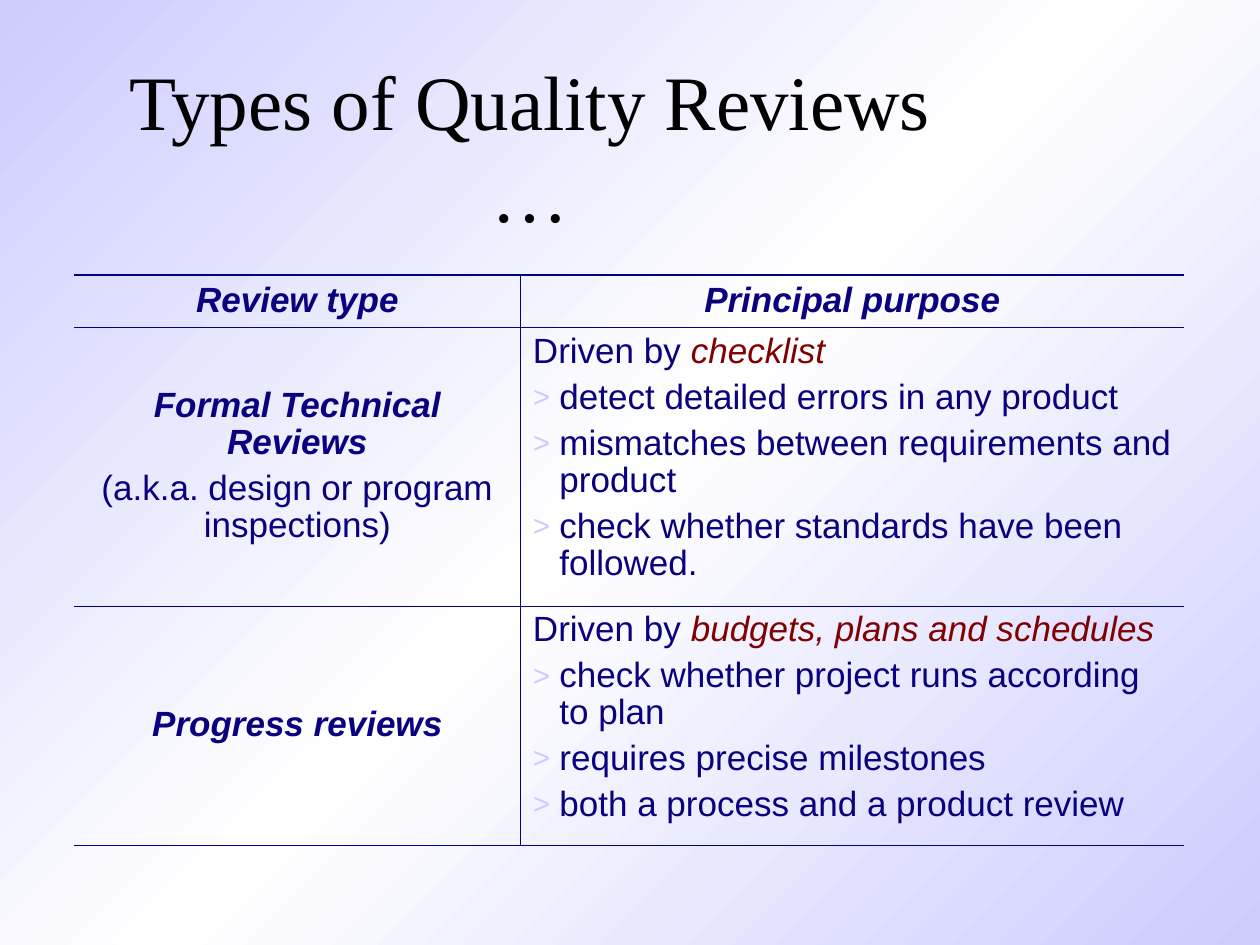
from copy import deepcopy
from dataclasses import dataclass

from lxml.etree import SubElement
from pptx import Presentation
from pptx.dml.color import RGBColor as RGB
from pptx.enum.text import MSO_ANCHOR as Anchor, MSO_AUTO_SIZE as AutoSize, PP_ALIGN as Align
from pptx.oxml.ns import qn
from pptx.util import Inches, Pt


@dataclass(frozen=True)
class Theme:
    title_font: str = "Times New Roman"
    body_font: str = "Arial"
    title_size: float = 44
    body_size: float = 20
    title_color: str = "000000"
    text_color: str = "0A017F"
    accent_color: str = "7F0101"
    tint: str = "CCCCFF"
    middle_tint: str = "FFFFFF"
    border_color: str = "00027F"
    thin_line: float = 0.45
    thick_line: float = 1.08


REVIEWS = [
    ("Formal Technical Reviews", "(a.k.a. design or program inspections)", "checklist",
     ["detect detailed errors in any product",
      "mismatches between requirements and product",
      "check whether standards have been followed."]),
    ("Progress reviews", None, "budgets, plans and schedules",
     ["check whether project runs according to plan",
      "requires precise milestones",
      "both a process and a product review"]),
]
COLUMN_WIDTHS = (3.54, 5.27)
ROW_HEIGHTS = (0.42, 2.21, 1.9)


class SlideBuilder:
    def __init__(self, slide, theme):
        self.slide = slide
        self.theme = theme

    def background(self):
        """Diagonal gradient, tinted at both corners and white between them."""
        fill = self.slide.background.fill
        fill.gradient()
        fill.gradient_angle = 315
        stop_list = self.slide.element.find(".//" + qn("a:gsLst"))
        stop_list.append(deepcopy(stop_list[-1]))
        tints = (self.theme.tint, self.theme.middle_tint, self.theme.tint)
        for stop, color, position in zip(fill.gradient_stops, tints, (0, 0.5, 1)):
            stop.color.rgb = RGB.from_string(color)
            stop.position = position

    def run(self, paragraph, text, color, size, font_name, bold=False, italic=False):
        run = paragraph.add_run()
        run.text = text
        font = run.font
        font.name, font.size = font_name, Pt(size)
        font.bold, font.italic = bold, italic
        font.color.rgb = RGB.from_string(color)

    def title(self, text, left, top, width, height):
        theme = self.theme
        shape = self.slide.shapes.title
        shape.left, shape.top = Inches(left), Inches(top)
        shape.width, shape.height = Inches(width), Inches(height)
        frame = shape.text_frame
        frame.word_wrap = True
        frame.auto_size = AutoSize.NONE
        frame.vertical_anchor = Anchor.MIDDLE
        paragraph = frame.paragraphs[0]
        paragraph.alignment = Align.CENTER
        self.run(paragraph, text, theme.title_color, theme.title_size, theme.title_font)

    def table(self, left, top, column_widths, row_heights):
        table = self.slide.shapes.add_table(
            len(row_heights), len(column_widths), Inches(left), Inches(top),
            Inches(sum(column_widths)), Inches(sum(row_heights))).table
        table.first_row = table.horz_banding = False
        for column, width in zip(table.columns, column_widths):
            column.width = Inches(width)
        for row, height in zip(table.rows, row_heights):
            row.height = Inches(height)
        last_row, last_column = len(row_heights) - 1, len(column_widths) - 1
        thin, thick = self.theme.thin_line, self.theme.thick_line
        for row_index, row in enumerate(table.rows):
            for column_index, cell in enumerate(row.cells):
                self.border(cell, "L", thin if column_index > 0 else None)
                self.border(cell, "R", thin if column_index < last_column else None)
                self.border(cell, "T", thick if row_index == 0 else thin)
                self.border(cell, "B", thick if row_index == last_row else thin)
                cell.fill.background()
                cell.margin_left = cell.margin_right = Inches(0.1)
                cell.margin_top = cell.margin_bottom = Inches(0.05)
        return table

    def border(self, cell, side, width):
        """Set one cell edge; a width of None hides it."""
        line = SubElement(cell._tc.get_or_add_tcPr(), qn(f"a:ln{side}"))
        if width is None:
            SubElement(line, qn("a:noFill"))
            return
        line.set("w", str(Pt(width)))
        fill = SubElement(line, qn("a:solidFill"))
        SubElement(fill, qn("a:srgbClr"), val=self.theme.border_color)

    def paragraph(self, cell, runs, centered=False, bullet=False):
        """Add a paragraph of (text, color, bold, italic) runs to a cell."""
        frame = cell.text_frame
        is_first = not frame.paragraphs[0].runs
        paragraph = frame.paragraphs[0] if is_first else frame.add_paragraph()
        paragraph.line_spacing = 0.95
        paragraph.space_before = Pt(0 if is_first else 5)
        if centered:
            paragraph.alignment = Align.CENTER
            cell.vertical_anchor = Anchor.MIDDLE
        else:
            properties = paragraph._p.get_or_add_pPr()
            properties.set("marL", str(Inches(0.21)))
            properties.set("indent", str(Inches(-0.21)))
            if bullet:
                color = SubElement(properties, qn("a:buClr"))
                SubElement(color, qn("a:srgbClr"), val=self.theme.tint)
                SubElement(properties, qn("a:buSzPct"), val="85000")
                SubElement(properties, qn("a:buFont"), typeface=self.theme.body_font)
                SubElement(properties, qn("a:buChar"), char=">")
            else:
                SubElement(properties, qn("a:buNone"))
        for text, color, bold, italic in runs:
            self.run(paragraph, text, color, self.theme.body_size,
                     self.theme.body_font, bold, italic)

    def heading(self, cell, text):
        self.paragraph(cell, [(text, self.theme.text_color, True, True)], centered=True)

    def review(self, cells, name, alias, driver, purposes):
        name_cell, purpose_cell = cells
        color = self.theme.text_color
        self.heading(name_cell, name)
        if alias:
            self.paragraph(name_cell, [(alias, color, False, False)], centered=True)
        self.paragraph(purpose_cell, [("Driven by ", color, False, False),
                                      (driver, self.theme.accent_color, False, True)])
        for purpose in purposes:
            self.paragraph(purpose_cell, [(purpose, color, False, False)], bullet=True)


def main():
    presentation = Presentation()
    presentation.slide_width, presentation.slide_height = Inches(10), Inches(7.5)
    slide = presentation.slides.add_slide(presentation.slide_layouts[5])
    builder = SlideBuilder(slide, Theme())
    builder.background()
    builder.title("Types of Quality Reviews …", 0.59, 0.71, 7.24, 0.89)
    table = builder.table(0.59, 2.18, COLUMN_WIDTHS, ROW_HEIGHTS)
    for column, text in enumerate(("Review type", "Principal purpose")):
        builder.heading(table.cell(0, column), text)
    for row, review in enumerate(REVIEWS, start=1):
        builder.review(table.rows[row].cells, *review)
    presentation.save("out.pptx")


if __name__ == "__main__":
    main()
